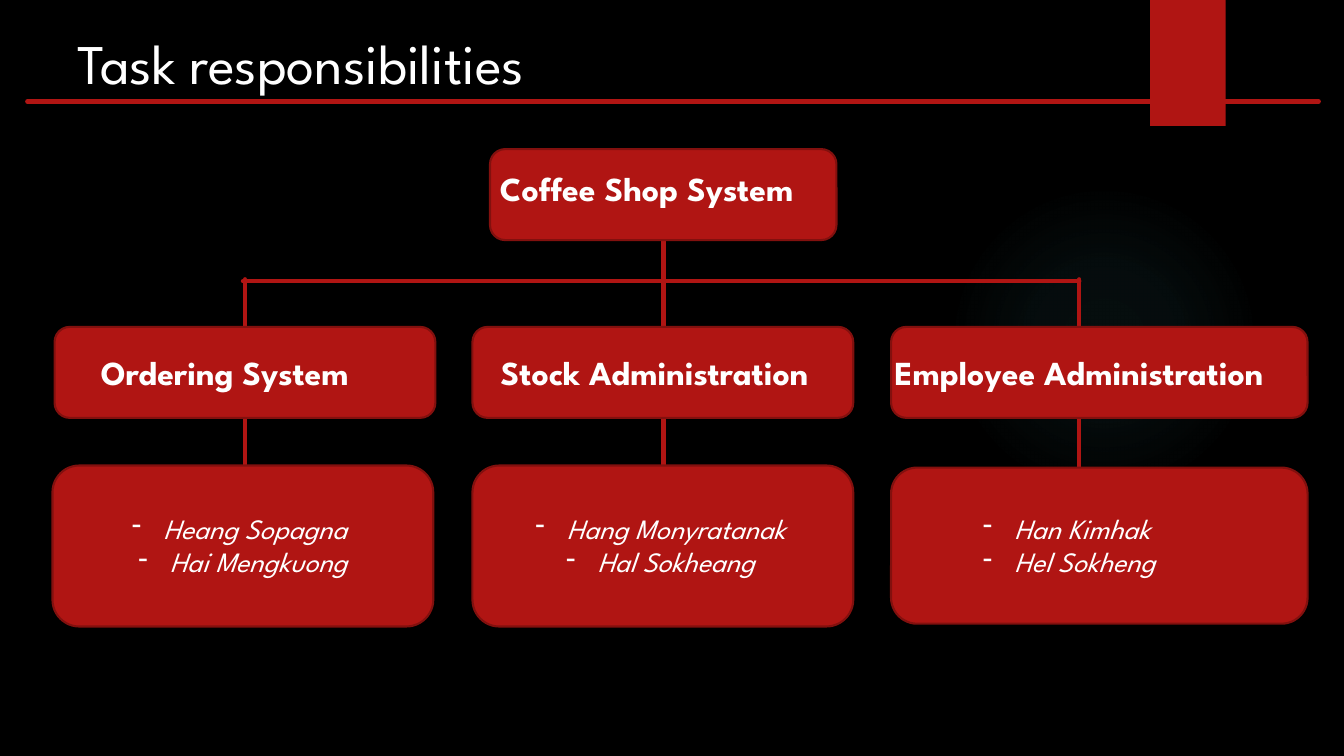
import pptx
import pptx.util
import pptx.dml.color
import pptx.enum.shapes
import pptx.enum.text
import pptx.oxml
import pptx.oxml.ns
from lxml import etree

Pt = pptx.util.Pt
RGB = pptx.dml.color.RGBColor.from_string
SHAPE = pptx.enum.shapes.MSO_SHAPE
ALIGN = pptx.enum.text.PP_ALIGN
qn = pptx.oxml.ns.qn
COLORS = {"back": "000000", "red": "B01513", "edge": "82100E",
          "text": "FFFFFF", "glow": "50B9C1"}

deck = pptx.Presentation()
deck.slide_width, deck.slide_height = Pt(960), Pt(540)
slide = deck.slides.add_slide(deck.slide_layouts[5])
slide.background.fill.solid()
slide.background.fill.fore_color.rgb = RGB(COLORS["back"])


def add_block(kind, left, top, width, height, edge=None):
    """Add a red shape, outlined when an edge colour is given."""
    block = slide.shapes.add_shape(kind, Pt(left), Pt(top), Pt(width), Pt(height))
    block.shadow.inherit = False
    block.fill.solid()
    block.fill.fore_color.rgb = RGB(COLORS["red"])
    if edge:
        block.line.color.rgb = RGB(edge)
        block.line.width = Pt(1.5)
    else:
        block.line.fill.background()
    return block


def write(holder, lines, size, bold=False, italic=False, align=ALIGN.LEFT):
    """Write one paragraph per line, from the top of the holder."""
    frame = holder.text_frame
    frame.word_wrap = True
    frame.auto_size = pptx.enum.text.MSO_AUTO_SIZE.NONE
    frame.vertical_anchor = pptx.enum.text.MSO_ANCHOR.TOP
    for number, line in enumerate(lines):
        paragraph = frame.add_paragraph() if number else frame.paragraphs[0]
        paragraph.alignment = align
        run = paragraph.add_run()
        run.text = line
        run.font.name = "League Spartan"
        run.font.size = Pt(size)
        run.font.bold, run.font.italic = bold, italic
        run.font.color.rgb = RGB(COLORS["text"])
    return frame


# Background glow and corner ribbon
glow = add_block(SHAPE.OVAL, 677.5, 132, 222, 222)
stops = "".join(
    f'<a:gs pos="{place * 1000}"><a:srgbClr val="{COLORS["glow"]}">'
    f'<a:alpha val="{alpha * 1000}"/></a:srgbClr></a:gs>'
    for place, alpha in [(0, 7), (36, 6), (69, 0)])
gradient = pptx.oxml.parse_xml(
    f'<a:gradFill {pptx.oxml.ns.nsdecls("a")}><a:gsLst>{stops}</a:gsLst>'
    '<a:path path="circle"><a:fillToRect l="50000" t="50000" r="50000" b="50000"/>'
    '</a:path></a:gradFill>')
solid = glow._element.spPr.find(qn("a:solidFill"))
solid.getparent().replace(solid, gradient)
add_block(SHAPE.RECTANGLE, 821.5, 0, 54, 90)

# Title
title = slide.shapes.title
title.left, title.top, title.width, title.height = Pt(48), Pt(16.5), Pt(394.5), Pt(55.5)
write(title, ["Task responsibilities"], 40)

# Title rule, crossbar and the three branches behind the boxes
rules = [(19.5, 72.5, 942, 72.5), (173.5, 201, 771, 201),
         (175, 199.5, 175, 368), (474, 163.5, 474, 368), (771, 199.5, 771, 368)]
for ends in rules:
    rule = slide.shapes.add_connector(
        pptx.enum.shapes.MSO_CONNECTOR.STRAIGHT, *map(Pt, ends))
    rule.line.color.rgb = RGB(COLORS["red"])
    rule.line.width = Pt(3)
    properties = rule._element.spPr
    properties.find(qn("a:ln")).set("cap", "rnd")
    etree.SubElement(properties, qn("a:effectLst"))

# Headings: box (left, top, width), then text (left, top, width)
headings = [
    ("Coffee Shop System", (350, 106.5, 247.5), (350, 116.5, 250)),
    ("Ordering System", (39, 233.5, 272), (65, 247.5, 219.5)),
    ("Stock Administration", (337.5, 233.5, 272), (350.5, 247.5, 259)),
    ("Employee Administration", (636.5, 233.5, 297.5), (632, 247.5, 306)),
]
for heading, box, label in headings:
    add_block(SHAPE.ROUNDED_RECTANGLE, *box, 65, COLORS["edge"])
    caption = slide.shapes.add_textbox(*map(Pt, label), Pt(36))
    write(caption, [heading], 24, bold=True)

# Teams: members, box, text left and width, alignment
teams = [
    (["Heang Sopagna ", "Hai Mengkuong"], (37.5, 332.5, 272, 115),
     60.5, 226, ALIGN.CENTER),
    (["Hang Monyratanak", "Hal Sokheang"], (337.5, 332.5, 272, 115),
     358, 227.5, ALIGN.CENTER),
    (["Han Kimhak", "Hel Sokheng"], (636.5, 334, 297.5, 111.5),
     695, 174, ALIGN.LEFT),
]
for members, box, left, width, align in teams:
    add_block(SHAPE.ROUNDED_RECTANGLE, *box, COLORS["edge"])
    roster = slide.shapes.add_textbox(Pt(left), Pt(361.5), Pt(width), Pt(55.5))
    frame = write(roster, members, 20, italic=True, align=align)
    for paragraph in frame.paragraphs:
        settings = paragraph._p.get_or_add_pPr()
        settings.set("marL", str(Pt(22.5)))
        settings.set("indent", str(-Pt(22.5)))
        etree.SubElement(settings, qn("a:buFontTx"))
        etree.SubElement(settings, qn("a:buChar"), char="-")

deck.save("out.pptx")
